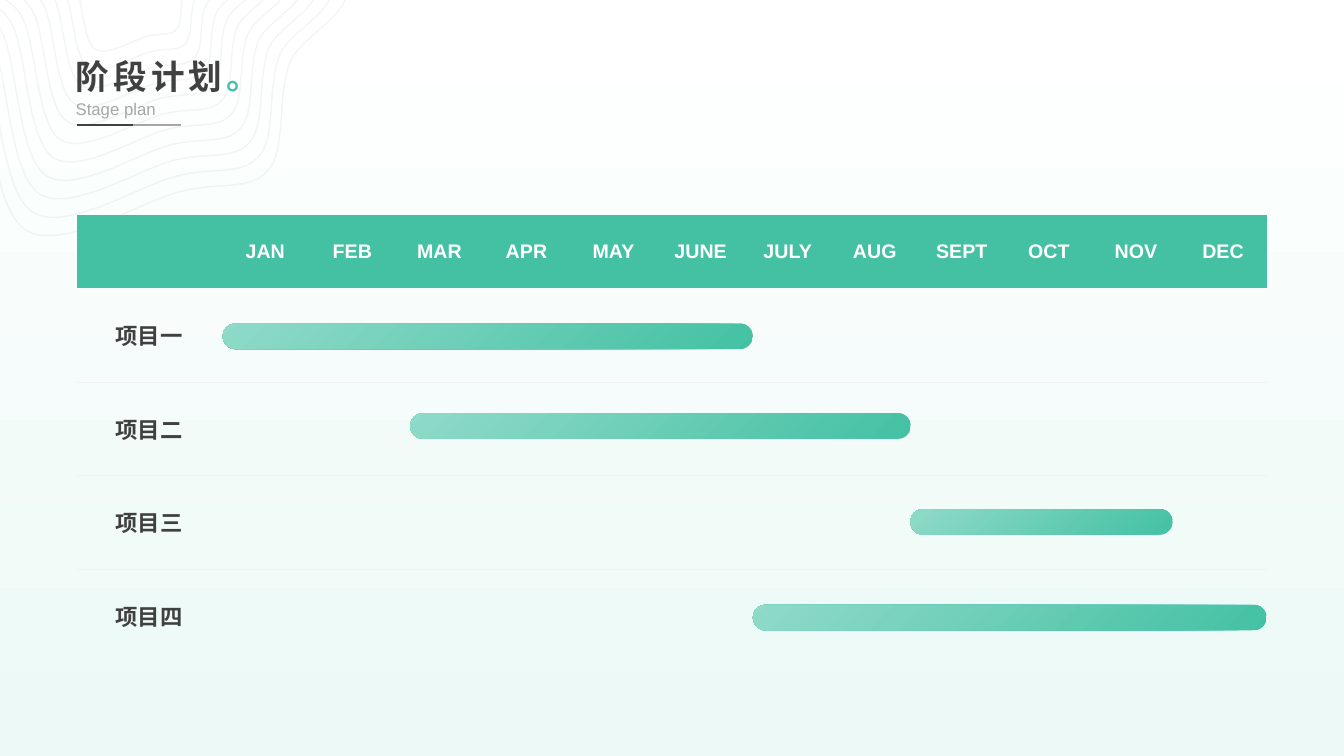
import pptx
import pptx.dml.color
import pptx.enum.shapes
import pptx.enum.text
import pptx.oxml.ns
import pptx.util
import lxml.etree

Pt = pptx.util.Pt
qn = pptx.oxml.ns.qn
GREEN, DARK, GREY, PALE = "44C1A3", "404040", "A6A6A6", "F2F2F2"
LATIN, CHINESE = "Arial", "Noto Sans CJK SC"


def paint(color_format, value):
    color_format.rgb = pptx.dml.color.RGBColor.from_string(value)


def write(paragraph, text, color, spacing=0, **formats):
    run = paragraph.add_run()
    run.text = text
    for name, value in formats.items():
        setattr(run.font, name, value)
    paint(run.font.color, color)
    properties = run._r.get_or_add_rPr()
    properties.set("spc", str(spacing))
    lxml.etree.SubElement(properties, qn("a:ea"), typeface=CHINESE)


presentation = pptx.Presentation()
presentation.slide_width, presentation.slide_height = Pt(960), Pt(540)
slide = presentation.slides.add_slide(presentation.slide_layouts[1])

background = slide.background.fill
background.gradient()
background.gradient_angle = 270
for stop, color in zip(background.gradient_stops, ("FFFFFF", "ECF9F6")):
    paint(stop.color, color)

outline = [
    (128.9, 136.8),
    (100.1, 144), (43.2, 180.7), (18, 164.2),
    (-6.5, 147.6), (-7.9, 65.5), (-20.9, 36.7),
    (-34.6, 7.9), (-59, 14.4), (-61.2, -10.1),
    (-64.1, -34.6), (-60.5, -86.4), (-36, -110.2),
    (-12.2, -134.6), (36.7, -169.9), (82.8, -155.5),
    (129.6, -141.1), (223.2, -59), (243.4, -25.2),
    (264.2, 8.6), (215.3, 21.6), (206.6, 46.1),
    (198, 70.6), (204.5, 107.3), (191.5, 121.7),
    (178.6, 136.8), (157.7, 129.6), (128.9, 136.8),
]
center_x, center_y = 93.1, -30.2
rings = 11
for ring in range(rings):
    scale = 1 - 0.664 * ring / (rings - 1)
    points = [(Pt(center_x + scale * (x - center_x)), Pt(center_y + scale * (y - center_y)))
              for x, y in outline]
    builder = slide.shapes.build_freeform(*points[0])
    builder.add_line_segments(points[1:], close=True)
    contour = builder.convert_to_shape()
    segments = list(contour.element.iter(qn("a:lnTo")))
    for first in range(0, len(segments), 3):
        curve = lxml.etree.Element(qn("a:cubicBezTo"))
        segments[first].addprevious(curve)
        for segment in segments[first:first + 3]:
            curve.append(segment[0])
            segment.getparent().remove(segment)
    contour.shadow.inherit = False
    contour.fill.background()
    contour.line.width = Pt(1)
    paint(contour.line.color, "1E5E70")
    line_color = contour.element.spPr.find(qn("a:ln")).find(".//" + qn("a:srgbClr"))
    lxml.etree.SubElement(line_color, qn("a:alpha"), val="5000")

for right, color in ((129.6, GREY), (95, DARK)):
    underline = slide.shapes.add_connector(
        pptx.enum.shapes.MSO_CONNECTOR.STRAIGHT, Pt(54.7), Pt(89.3), Pt(right), Pt(89.3))
    underline.line.width = Pt(1)
    paint(underline.line.color, color)
    lxml.etree.SubElement(underline.element.spPr, qn("a:effectLst"))

title, subtitle = slide.shapes.title, slide.placeholders[1]
frame_formats = {
    "word_wrap": False,
    "auto_size": pptx.enum.text.MSO_AUTO_SIZE.SHAPE_TO_FIT_TEXT,
    "vertical_anchor": pptx.enum.text.MSO_ANCHOR.TOP,
}
headings = (
    (title, (46.8, 39.6, 151.2, 33.1), 0.9, (("阶段计划", DARK), ("。", GREEN)),
     {"size": Pt(24), "name": CHINESE, "bold": True, "spacing": 300}),
    (subtitle, (46.8, 67, 72, 21.6), 1.0, (("Stage plan", GREY),),
     {"size": Pt(12), "name": LATIN, "bold": False}),
)
for shape, box, line_spacing, texts, formats in headings:
    for name, value in zip(("left", "top", "width", "height"), box):
        setattr(shape, name, Pt(value))
    for name, value in frame_formats.items():
        setattr(shape.text_frame, name, value)
    paragraph = shape.text_frame.paragraphs[0]
    paragraph.alignment = pptx.enum.text.PP_ALIGN.LEFT
    paragraph.line_spacing = line_spacing
    paragraph.space_before = Pt(10)
    properties = paragraph._p.get_or_add_pPr()
    properties.set("marL", "0")
    properties.set("indent", "0")
    lxml.etree.SubElement(properties, qn("a:buNone"))
    for text, color in texts:
        write(paragraph, text, color, **formats)
    slide.shapes.element.append(shape.element)

months = ["JAN", "FEB", "MAR", "APR", "MAY", "JUNE", "JULY", "AUG", "SEPT", "OCT", "NOV", "DEC"]
projects = ["项目一", "项目二", "项目三", "项目四"]
plan = slide.shapes.add_table(len(projects) + 1, len(months) + 1,
                              Pt(54.7), Pt(153.4), Pt(850.1), Pt(319.8))
table = plan.table
table.first_row = table.horz_banding = False
for style in plan.element.iter(qn("a:tableStyleId")):
    style.text = "{2D5ABB26-0587-4C30-8999-92F81FD0307C}"
for index, column in enumerate(table.columns):
    column.width = Pt(62.2 if index else 103.7)
for index, row in enumerate(table.rows):
    row.height = Pt(66.8 if index else 52.6)
    for position, cell in enumerate(row.cells):
        cell.vertical_anchor = pptx.enum.text.MSO_ANCHOR.MIDDLE
        paragraph = cell.text_frame.paragraphs[0]
        paragraph.alignment = pptx.enum.text.PP_ALIGN.CENTER
        if 0 < index < len(projects):
            border = lxml.etree.SubElement(cell._tc.get_or_add_tcPr(), qn("a:lnB"), w=str(Pt(0.5)))
            solid = lxml.etree.SubElement(border, qn("a:solidFill"))
            lxml.etree.SubElement(solid, qn("a:srgbClr"), val=PALE)
        if index:
            cell.fill.background()
        else:
            cell.fill.solid()
            paint(cell.fill.fore_color, GREEN)
        if index == 0 and position:
            for side in ("left", "right", "top", "bottom"):
                setattr(cell, "margin_" + side, Pt(0.5))
            write(paragraph, months[position - 1], "FFFFFF", size=Pt(14), name=LATIN, bold=True)
        elif index and position == 0:
            write(paragraph, projects[index - 1], DARK, size=Pt(16), name=LATIN, bold=True)

bars = ((159.1, 231.1, 378.7), (293, 295.2, 357.6), (650.3, 363.6, 187.3), (537.8, 432, 367))
for left, top, width in bars:
    bar = slide.shapes.add_shape(pptx.enum.shapes.MSO_SHAPE.ROUNDED_RECTANGLE,
                                 Pt(left), Pt(top), Pt(width), Pt(18.3))
    bar.adjustments[0] = 0.5
    bar.shadow.inherit = False
    bar.line.fill.background()
    bar.fill.gradient()
    for stop, color in zip(bar.fill.gradient_stops, ("8FDAC8", GREEN)):
        paint(stop.color, color)
    gradient = bar.element.spPr.find(qn("a:gradFill"))
    gradient.remove(gradient.find(qn("a:lin")))
    radial = lxml.etree.SubElement(gradient, qn("a:path"), {"path": "circle"})
    lxml.etree.SubElement(radial, qn("a:fillToRect"), r="100000", b="100000")

presentation.save("out.pptx")
